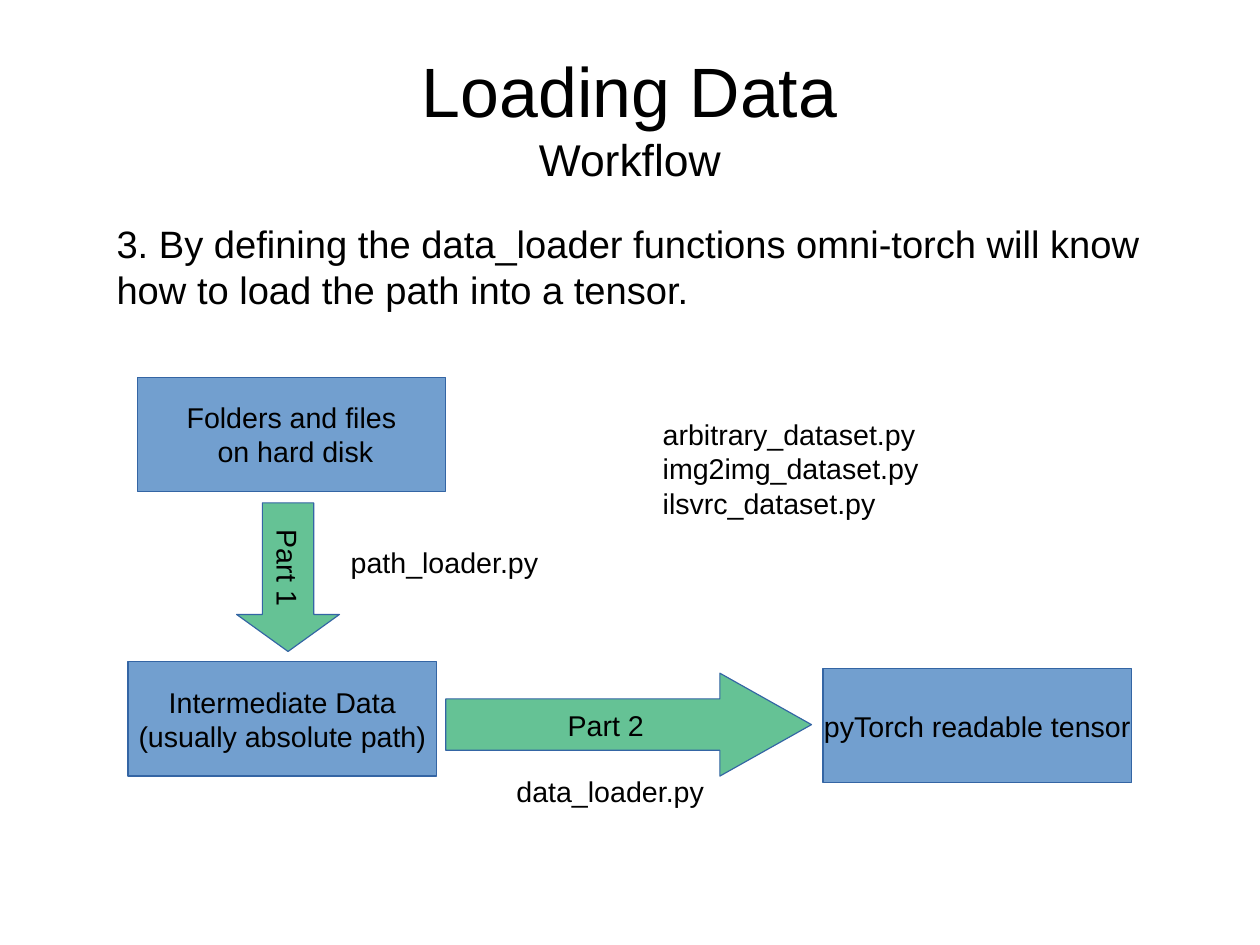
from pptx import Presentation
from pptx.dml.color import RGBColor
from pptx.enum.shapes import MSO_SHAPE as Shape
from pptx.enum.text import MSO_ANCHOR as Anchor, PP_ALIGN as Align
from pptx.util import Inches, Pt

BLACK = RGBColor(0x00, 0x00, 0x00)
BLUE = RGBColor(0x72, 0x9F, 0xCF)
GREEN = RGBColor(0x65, 0xC2, 0x95)
OUTLINE = RGBColor(0x34, 0x65, 0xA4)

deck = Presentation()
deck.slide_width, deck.slide_height = Inches(28 / 2.54), Inches(21 / 2.54)
page = deck.slides.add_slide(deck.slide_layouts[6])


def write(frame, lines, size=18, align=Align.LEFT, wrap=False, margins=(0.1, 0.05)):
    frame.word_wrap = wrap
    frame.margin_left = frame.margin_right = Inches(margins[0])
    frame.margin_top = frame.margin_bottom = Inches(margins[1])
    for index, line in enumerate(lines):
        para = frame.add_paragraph() if index else frame.paragraphs[0]
        para.text = line
        para.alignment = align
        para.font.name = "Arial"
        para.font.size = Pt(size)
        para.font.color.rgb = BLACK


def add_block(kind, place, fill, lines):
    block = page.shapes.add_shape(kind, *map(Inches, place))
    block.shadow.inherit = False
    block.fill.solid()
    block.fill.fore_color.rgb = fill
    block.line.color.rgb = OUTLINE
    block.line.width = Pt(0)
    block.text_frame.vertical_anchor = Anchor.MIDDLE
    write(block.text_frame, lines, align=Align.CENTER)
    return block


title = page.shapes.add_textbox(Inches(0.55), Inches(0.33), Inches(9.92), Inches(1.38))
title.text_frame.vertical_anchor = Anchor.MIDDLE
write(title.text_frame, ["Loading Data\vWorkflow"], 44, Align.CENTER, True, (0, 0))
title.text_frame.paragraphs[0].runs[1].font.size = Pt(28)

body = page.shapes.add_textbox(Inches(1.02), Inches(1.93), Inches(9.45), Inches(4.79))
step = "3. By defining the data_loader functions omni-torch will know how to load the path into a tensor."
write(body.text_frame, [step], 24, wrap=True, margins=(0, 0))

for left, top, lines in [
    (1.2, 3.3, ["Folders and files", " on hard disk"]),
    (1.12, 5.79, ["Intermediate Data", "(usually absolute path)"]),
    (7.2, 5.85, ["pyTorch readable tensor"]),
]:
    add_block(Shape.RECTANGLE, (left, top, 2.7, 1), BLUE, lines)

for place, head, angle, label in [
    ((3.9, 5.89, 3.2, 0.9), 0.89, 0, "Part 2"),
    ((1.87, 4.6, 1.3, 0.9), 0.36, 90, "Part 1"),
]:
    arrow = add_block(Shape.RIGHT_ARROW, place, GREEN, [label])
    arrow.adjustments[1] = head
    arrow.rotation = angle

for place, lines in [
    ((4.42, 6.72, 1.84, 0.38), ["data_loader.py"]),
    ((2.97, 4.72, 1.84, 0.38), ["path_loader.py"]),
    ((5.7, 3.6, 2.44, 0.94), ["arbitrary_dataset.py", "img2img_dataset.py", "ilsvrc_dataset.py"]),
]:
    files = page.shapes.add_textbox(*map(Inches, place))
    write(files.text_frame, lines)

deck.save("out.pptx")
